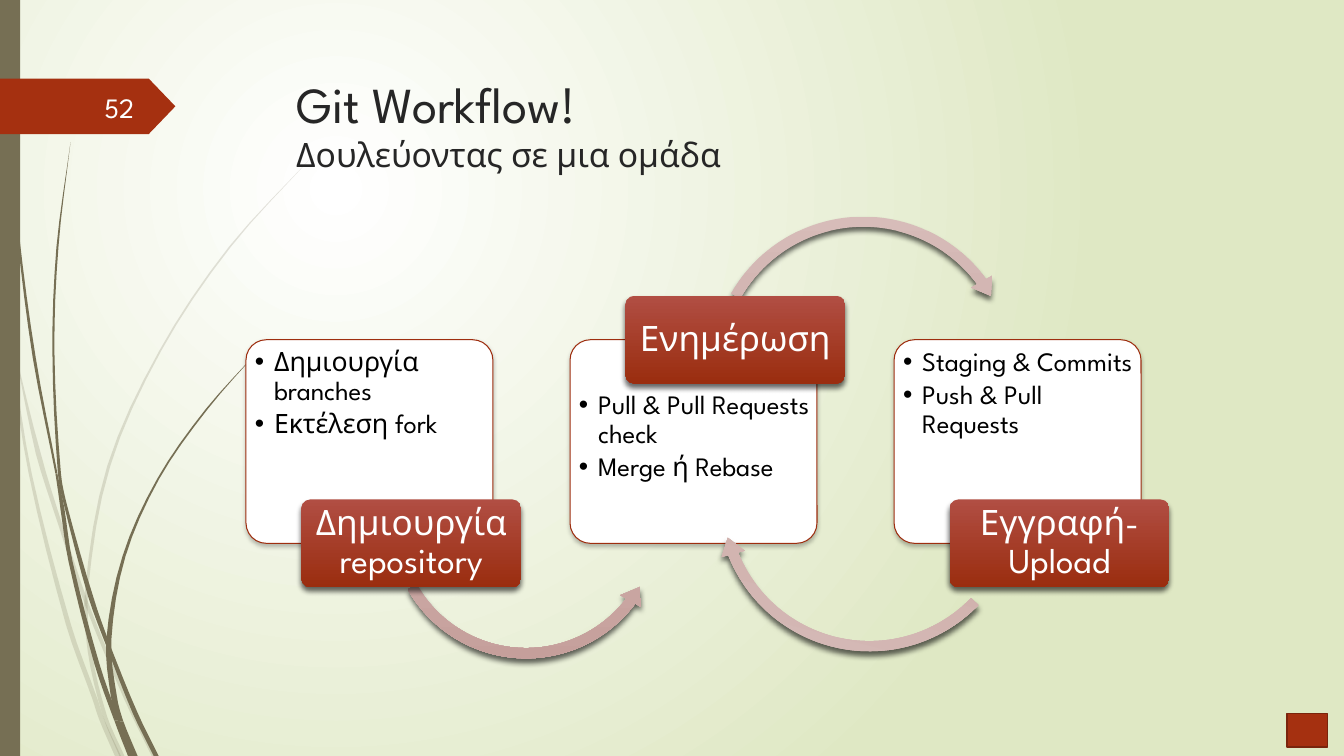
from dataclasses import dataclass
from itertools import pairwise

from lxml.etree import SubElement
from pptx import Presentation
from pptx.dml.color import RGBColor
from pptx.enum.shapes import MSO_SHAPE
from pptx.enum.text import MSO_ANCHOR, PP_ALIGN
from pptx.oxml.ns import qn
from pptx.util import Emu, Inches, Pt

FONT, OLIVE, RED, WHITE = "League Spartan", "766F54", "A53010", "FFFFFF"
# Grid of the workflow, in inches
FIRST_COLUMN, COLUMN_STEP, CARD_TOP = 2.44, 3.215, 3.37
CARD_WIDTH, CARD_HEIGHT = 2.45, 2.02
CAPTION_WIDTH, CAPTION_HEIGHT, CAPTION_SHIFT = 2.18, 0.87, 0.55
ROUNDING = 0.1
ARROW_CURVE = (0.032, 4.008, 194.237, 125.755, 0.038)


@dataclass
class Strand:
    alpha: int
    joints: tuple[int, ...]  # knots where one piece ends and the next begins
    knots: list[tuple[float, float, float]]  # centre x, y, width


@dataclass
class Step:
    caption: str
    points: list[str]
    caption_on_top: bool
    arrow: MSO_SHAPE
    arrow_box: tuple[float, float, float]  # left, top, size
    curve: tuple[float, ...] = ARROW_CURVE
    rotation: float = 0


STRANDS = [
    Strand(20, (0, 3, 5), [(0.14, 3.45, 0), (0.38, 4.5, 0.05), (0.6, 5.21, 0.04), (0.86, 5.99, 0.04),
                           (1.25, 6.93, 0.04), (1.53, 7.5, 0.05)]),
    Strand(20, (0, 1, 5, 6), [(0.02, 2.9, 0.03), (0.11, 3.5, 0.02), (0.3, 4.7, 0.03), (0.68, 6.2, 0.05),
                              (0.94, 6.93, 0.05), (1.01, 7.14, 0.05), (1.17, 7.5, 0.06)]),
    Strand(20, (0, 4, 6, 7), [(3.12, 1.53, 0), (2.28, 2.45, 0.02), (1.59, 3.48, 0.02), (1.08, 4.62, 0.03),
                              (0.86, 5.84, 0.03), (0.89, 6.46, 0.04), (1.04, 7.1, 0.04), (1.21, 7.5, 0.05)]),
    Strand(100, (0, 4, 5, 8, 9), [(0.04, 0, 0.01), (0.08, 1.1, 0.01), (0.18, 2.33, 0.02), (0.34, 3.55, 0.03),
                                  (0.56, 4.7, 0.02), (0.62, 5.05, 0.04), (0.7, 5.57, 0.04), (0.96, 6.58, 0.05),
                                  (1.16, 7.15, 0.05), (1.3, 7.5, 0.06)]),
    Strand(100, (0, 3, 6, 8), [(0.7, 1.41, 0), (0.57, 2.45, 0.02), (0.53, 3.49, 0.02), (0.59, 4.7, 0.03),
                               (0.66, 5.05, 0.03), (0.9, 5.92, 0.05), (1.08, 6.42, 0.04), (1.34, 7.07, 0.05),
                               (1.55, 7.5, 0.05)]),
    Strand(100, (0, 4, 6, 7), [(2.6, 3.44, 0), (2.05, 4.06, 0.02), (1.57, 4.75, 0.02), (1.23, 5.52, 0.03),
                               (1.08, 6.35, 0.05), (1.13, 6.91, 0.06), (1.2, 7.16, 0.05), (1.34, 7.5, 0.05)]),
]
STEPS = [
    Step("Δημιουργία repository", ["Δημιουργία branches", "Εκτέλεση fork"], False,
         MSO_SHAPE.LEFT_CIRCULAR_ARROW, (3.8, 3.76, 2.84), (0.036, 4.489, 22.244, 90.245, 0.042)),
    Step("Ενημέρωση", ["Pull & Pull Requests check", "Merge ή Rebase"], True,
         MSO_SHAPE.CIRCULAR_ARROW, (6.99, 2.08, 3.15)),
    Step("Εγγραφή-Upload", ["Staging & Commits", "Push & Pull Requests"], False,
         MSO_SHAPE.CIRCULAR_ARROW, (7.05, 3.38, 3.15), rotation=194.5),
]


def colour(value: str) -> RGBColor:
    return RGBColor.from_string(value)


def blend(fill, first: str, last: str) -> None:
    fill.gradient()
    for stop, tone in zip(fill.gradient_stops, (first, last)):
        stop.color.rgb = colour(tone)


def set_alpha(tone, alpha: int) -> None:
    SubElement(tone, qn("a:alpha"), val=str(alpha * 1000))


def paint(shape, first: str, last: str = "", alpha: int = 100, outline: str = "", weight: float = 0) -> None:
    shape.shadow.inherit = False
    if last:
        blend(shape.fill, first, last)
        shape.fill.gradient_angle = 270
    else:
        shape.fill.solid()
        shape.fill.fore_color.rgb = colour(first)
    if alpha < 100:
        set_alpha(shape.element.find(".//" + qn("a:srgbClr")), alpha)
    shape.line.fill.background()
    if outline:
        shape.line.color.rgb = colour(outline)
        shape.line.width = Pt(weight)


def add_shadow(shape, alpha: int, blur: float, distance: float) -> None:
    effects = shape.element.find(".//" + qn("a:effectLst"))
    shadow = SubElement(effects, qn("a:outerShdw"), blurRad=str(Pt(blur)), dist=str(Pt(distance)),
                        dir="5400000", rotWithShape="0")
    set_alpha(SubElement(shadow, qn("a:srgbClr"), val="000000"), alpha)


def add_block(page, kind: MSO_SHAPE, *place: float):
    return page.shapes.add_shape(kind, *map(Inches, place))


def add_span(para, text: str, size: float, tone: str) -> None:
    span = para.add_run()
    span.text = text
    span.font.name, span.font.size = FONT, Pt(size)
    span.font.color.rgb = colour(tone)


def set_frame(box, anchor: MSO_ANCHOR, *insets: float):
    frame = box.text_frame
    frame.word_wrap, frame.vertical_anchor = True, anchor
    frame.margin_left, frame.margin_top, frame.margin_right, frame.margin_bottom = map(Inches, insets)
    return frame


def draw_strand(page, strand: Strand) -> None:
    knots, last = strand.knots, len(strand.knots) - 1

    def slope(index: int) -> float:
        before, after = knots[max(index - 1, 0)], knots[min(index + 1, last)]
        return (after[0] - before[0]) / (after[1] - before[1])

    for start, end in pairwise(strand.joints):
        left_edge, right_edge = [], []
        for index in range(start, end):
            (x0, y0, w0), (x1, y1, w1) = knots[index:index + 2]
            for t in (0, 0.25, 0.5, 0.75, 1):
                bend = (y1 - y0) * t * (1 - t) * (slope(index) * (1 - t) - slope(index + 1) * t)
                x = x0 + (x1 - x0) * t * t * (3 - 2 * t) + bend
                y, half = y0 + (y1 - y0) * t, (w0 + (w1 - w0) * t) / 2
                left_edge.append((Inches(x - half), Inches(y)))
                right_edge.append((Inches(x + half), Inches(y)))
        outline = list(dict.fromkeys(left_edge + right_edge[::-1]))
        builder = page.shapes.build_freeform(*outline[0])
        builder.add_line_segments(outline[1:], close=True)
        paint(builder.convert_to_shape(), OLIVE, alpha=strand.alpha)


def draw_step(page, step: Step, column: int) -> None:
    left = FIRST_COLUMN + column * COLUMN_STEP
    # Card with bullets
    card = add_block(page, MSO_SHAPE.ROUNDED_RECTANGLE, left, CARD_TOP, CARD_WIDTH, CARD_HEIGHT)
    card.adjustments[0] = ROUNDING
    paint(card, WHITE, outline="9E2E0F", weight=0.75)
    add_shadow(card, 25, 3, 2)
    top_inset, bottom_inset = (0.46, 0.03) if step.caption_on_top else (0.03, 0.46)
    frame = set_frame(card, MSO_ANCHOR.TOP, 0.03, top_inset, 0, bottom_inset)
    for index, point in enumerate(step.points):
        para = frame.add_paragraph() if index else frame.paragraphs[0]
        para.alignment, para.line_spacing, para.space_after = PP_ALIGN.LEFT, 0.9, Pt(2.85)
        add_span(para, point, 19, "000000")
        settings = para._p.get_or_add_pPr()
        settings.set("marL", str(Inches(0.19)))
        settings.set("indent", str(-Inches(0.19)))
        SubElement(settings, qn("a:buFont"), typeface="Arial")
        SubElement(settings, qn("a:buChar"), char="•")
    # Curved arrow
    arrow_left, arrow_top, size = step.arrow_box
    arrow = add_block(page, step.arrow, arrow_left, arrow_top, size, size)
    for index, value in enumerate(step.curve):
        arrow.adjustments[index] = value
    arrow.rotation = step.rotation
    paint(arrow, "D7BCB9", "C59F9B")
    add_shadow(arrow, 60, 4, 3)
    # Caption centred on a card edge
    edge = CARD_TOP if step.caption_on_top else CARD_TOP + CARD_HEIGHT
    caption = add_block(page, MSO_SHAPE.ROUNDED_RECTANGLE, left + CAPTION_SHIFT,
                        edge - CAPTION_HEIGHT / 2, CAPTION_WIDTH, CAPTION_HEIGHT)
    caption.adjustments[0] = ROUNDING
    paint(caption, "B14E43", "9A2D0F")
    add_shadow(caption, 60, 4, 3)
    para = set_frame(caption, MSO_ANCHOR.MIDDLE, 0.05, 0.03, 0.05, 0.03).paragraphs[0]
    para.alignment, para.line_spacing = PP_ALIGN.CENTER, 0.9
    add_span(para, step.caption, 25, WHITE)


deck = Presentation()
deck.slide_width, deck.slide_height = Emu(12192000), Inches(7.5)
page = deck.slides.add_slide(deck.slide_layouts[6])
# Background glow
blend(page.background.fill, WHITE, "DFE8C4")
gradient = page.element.find(".//" + qn("a:gradFill"))
gradient.remove(gradient.find(qn("a:lin")))
glow = SubElement(gradient, qn("a:path"), path="circle")
SubElement(glow, qn("a:fillToRect"), l="50000", t="50000", r="100000", b="100000")
# Side decoration
for strand in STRANDS:
    draw_strand(page, strand)
paint(add_block(page, MSO_SHAPE.RECTANGLE, 0, 0, 0.2, 7.5), OLIVE)
tag = add_block(page, MSO_SHAPE.PENTAGON, 0, 0.78, 1.74, 0.55)
tag.adjustments[0] = 0.48
paint(tag, RED)
# Title and page number
title = page.shapes.add_textbox(*map(Inches, (2.84, 0.68, 9.75, 1.4)))
para = set_frame(title, MSO_ANCHOR.TOP, 0.1, 0.05, 0.1, 0.05).paragraphs[0]
add_span(para, "Git Workflow!", 36, "262626")
para.add_line_break()
add_span(para, "Δουλεύοντας σε μια ομάδα", 24, "262626")
number = page.shapes.add_textbox(*map(Inches, (0.58, 0.86, 0.85, 0.4)))
para = set_frame(number, MSO_ANCHOR.MIDDLE, 0.1, 0.05, 0.1, 0.05).paragraphs[0]
para.alignment = PP_ALIGN.RIGHT
add_span(para, "52", 20, "FEFFFF")
# Workflow
for column, step in enumerate(STEPS):
    draw_step(page, step, column)
# Corner button
paint(add_block(page, MSO_SHAPE.RECTANGLE, 12.77, 7.08, 0.4, 0.33), RED, outline="7A240C", weight=1.25)
deck.save("out.pptx")
